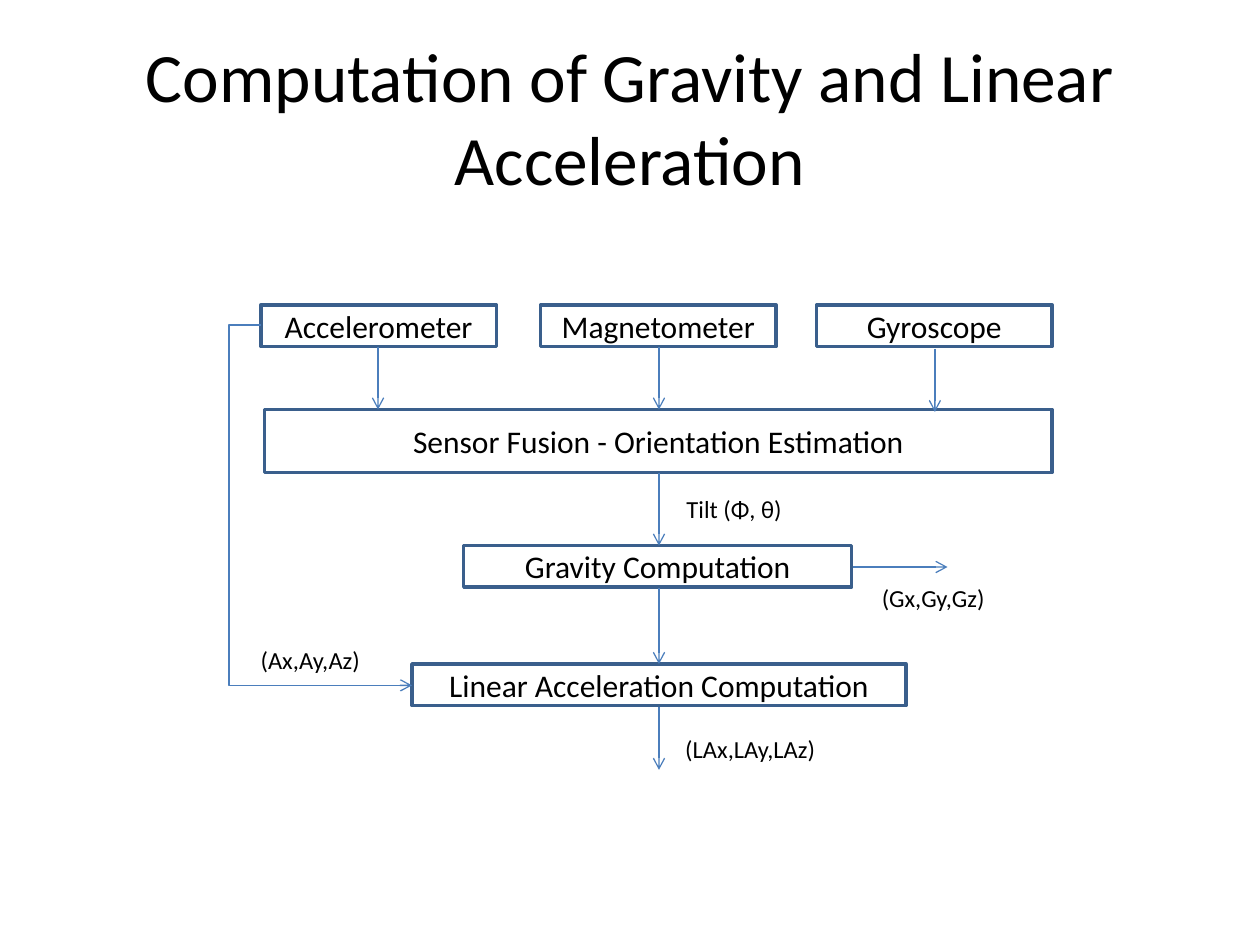
from dataclasses import dataclass

from lxml.etree import SubElement
from pptx import Presentation
from pptx.dml.color import RGBColor
from pptx.enum.shapes import MSO_CONNECTOR, MSO_SHAPE
from pptx.enum.text import MSO_ANCHOR, PP_ALIGN
from pptx.oxml.ns import qn
from pptx.util import Inches, Pt

BLACK = RGBColor(0x00, 0x00, 0x00)
WHITE = RGBColor(0xFF, 0xFF, 0xFF)
EDGE = RGBColor(0x3A, 0x5F, 0x8C)
BLUE = RGBColor(0x4B, 0x7E, 0xBC)

MID = 5.23
ROW = 0.33
SENSOR = 1.87
MIDDLE = {"vertical_anchor": MSO_ANCHOR.MIDDLE, "word_wrap": True}
LOOSE = {"vertical_anchor": MSO_ANCHOR.TOP, "word_wrap": False}


@dataclass
class Area:
    text: str
    left: float
    top: float
    width: float
    height: float = ROW


@dataclass
class Arrow:
    x1: float
    y1: float
    x2: float
    y2: float
    bend: float | None = None


BOXES = [
    Area("Sensor Fusion - Orientation Estimation", 2.1, 3.25, 6.25, 0.5),
    Area("Accelerometer", 2.07, 2.42, SENSOR),
    Area("Magnetometer", 4.29, 2.42, SENSOR),
    Area("Gyroscope", 6.48, 2.42, SENSOR),
    Area("Gravity Computation", 3.68, 4.33, 3.08),
    Area("Linear Acceleration Computation", 3.27, 5.27, 3.92),
]

ARROWS = [
    Arrow(3, 2.75, 3, 3.25),
    Arrow(MID, 2.75, MID, 3.25),
    Arrow(7.42, 2.77, 7.42, 3.27),
    Arrow(MID, 3.75, MID, 4.33),
    Arrow(MID, 4.67, MID, 5.27),
    Arrow(MID, 5.61, MID, 6.11),
    Arrow(6.77, 4.5, 7.52, 4.5),
    Arrow(2.07, 2.58, 3.27, 5.44, bend=-0.21),
]

LABELS = [
    Area("Tilt (Φ, θ)", 5.35, 3.87, 0.97, 0.34),
    Area("(Gx,Gy,Gz)", 6.9, 4.58, 1.03, 0.34),
    Area("(LAx,LAy,LAz)", 5.34, 5.78, 1.24, 0.34),
    Area("(Ax,Ay,Az)", 1.97, 5.07, 1, 0.34),
]


def place(area: Area) -> list:
    return [Inches(n) for n in (area.left, area.top, area.width, area.height)]


def write(shape, text: str, size: float, align, frame: dict) -> None:
    for name, value in frame.items():
        setattr(shape.text_frame, name, value)
    para = shape.text_frame.paragraphs[0]
    para.alignment = align
    run = para.add_run()
    run.text = text
    for name, value in {"name": "Calibri", "size": Pt(size)}.items():
        setattr(run.font, name, value)
    run.font.color.rgb = BLACK


def add_box(slide, area: Area) -> None:
    box = slide.shapes.add_shape(MSO_SHAPE.RECTANGLE, *place(area))
    box.shadow.inherit = False
    box.fill.solid()
    box.fill.fore_color.rgb = WHITE
    box.line.color.rgb = EDGE
    box.line.width = Pt(2)
    write(box, area.text, 18, PP_ALIGN.CENTER, MIDDLE)


def add_text(slide, area: Area, size: float, align, frame: dict) -> None:
    write(slide.shapes.add_textbox(*place(area)), area.text, size, align, frame)


def add_arrow(slide, arrow: Arrow) -> None:
    """Draw a straight arrow, or an elbow whose turn lies at bend times its width."""
    kind = MSO_CONNECTOR.STRAIGHT if arrow.bend is None else MSO_CONNECTOR.ELBOW
    ends = [Inches(n) for n in (arrow.x1, arrow.y1, arrow.x2, arrow.y2)]
    link = slide.shapes.add_connector(kind, *ends)
    link.line.color.rgb = BLUE
    link.line.width = Pt(0.75)
    props = link._element.spPr
    SubElement(props.find(qn("a:ln")), qn("a:tailEnd"), type="arrow")
    SubElement(props, qn("a:effectLst"))
    if arrow.bend is not None:
        guides = props.find(qn("a:prstGeom")).find(qn("a:avLst"))
        turn = f"val {round(arrow.bend * 100000)}"
        SubElement(guides, qn("a:gd"), name="adj1", fmla=turn)


def main() -> None:
    deck = Presentation()
    deck.slide_width, deck.slide_height = Inches(10), Inches(7.5)
    slide = deck.slides.add_slide(deck.slide_layouts[6])
    title = Area("Computation of Gravity and Linear Acceleration", 0.5, 0.3, 9, 1.25)
    add_text(slide, title, 39.6, PP_ALIGN.CENTER, MIDDLE)
    for box in BOXES:
        add_box(slide, box)
    for arrow in ARROWS:
        add_arrow(slide, arrow)
    for label in LABELS:
        add_text(slide, label, 14, PP_ALIGN.LEFT, LOOSE)
    deck.save("out.pptx")


if __name__ == "__main__":
    main()
